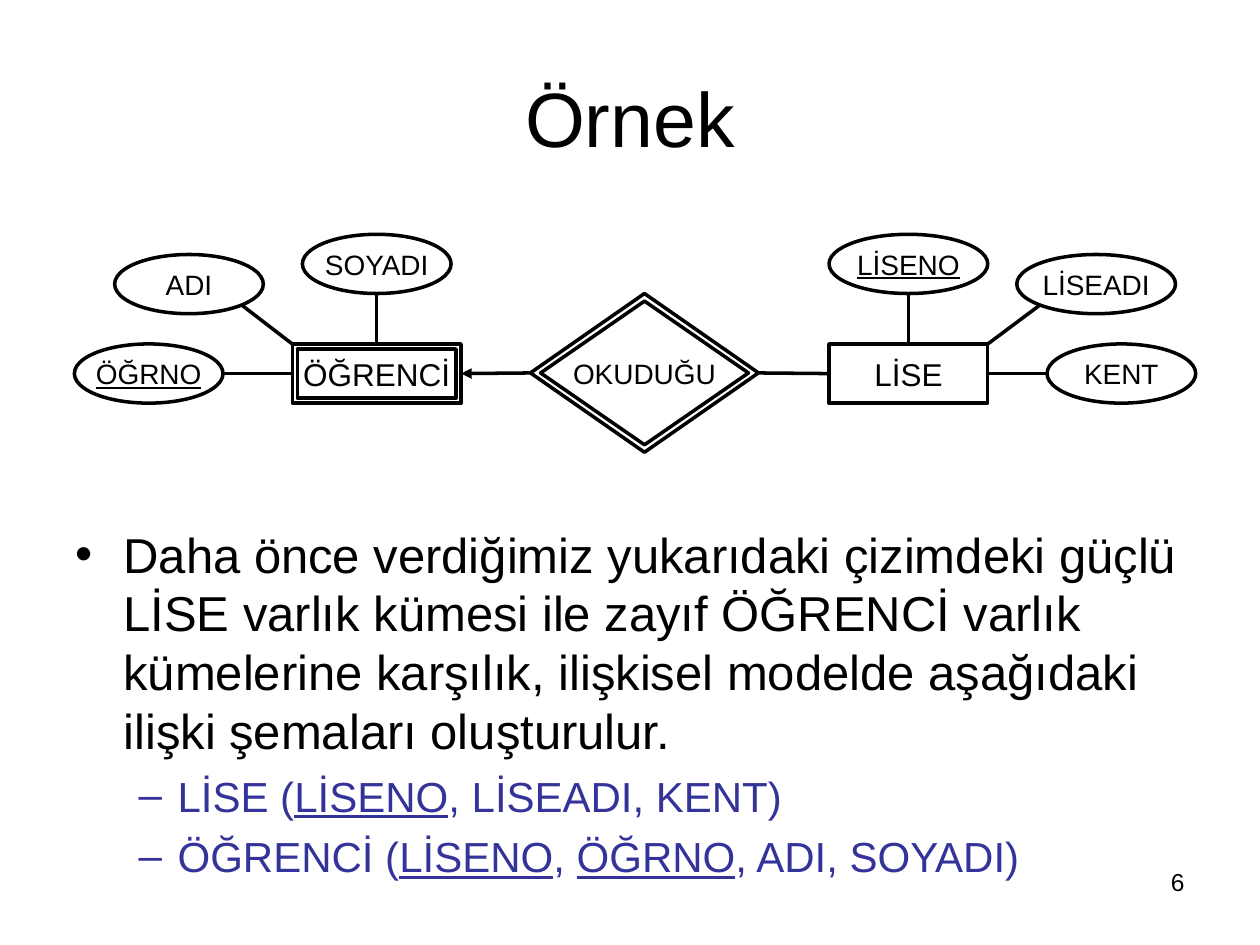
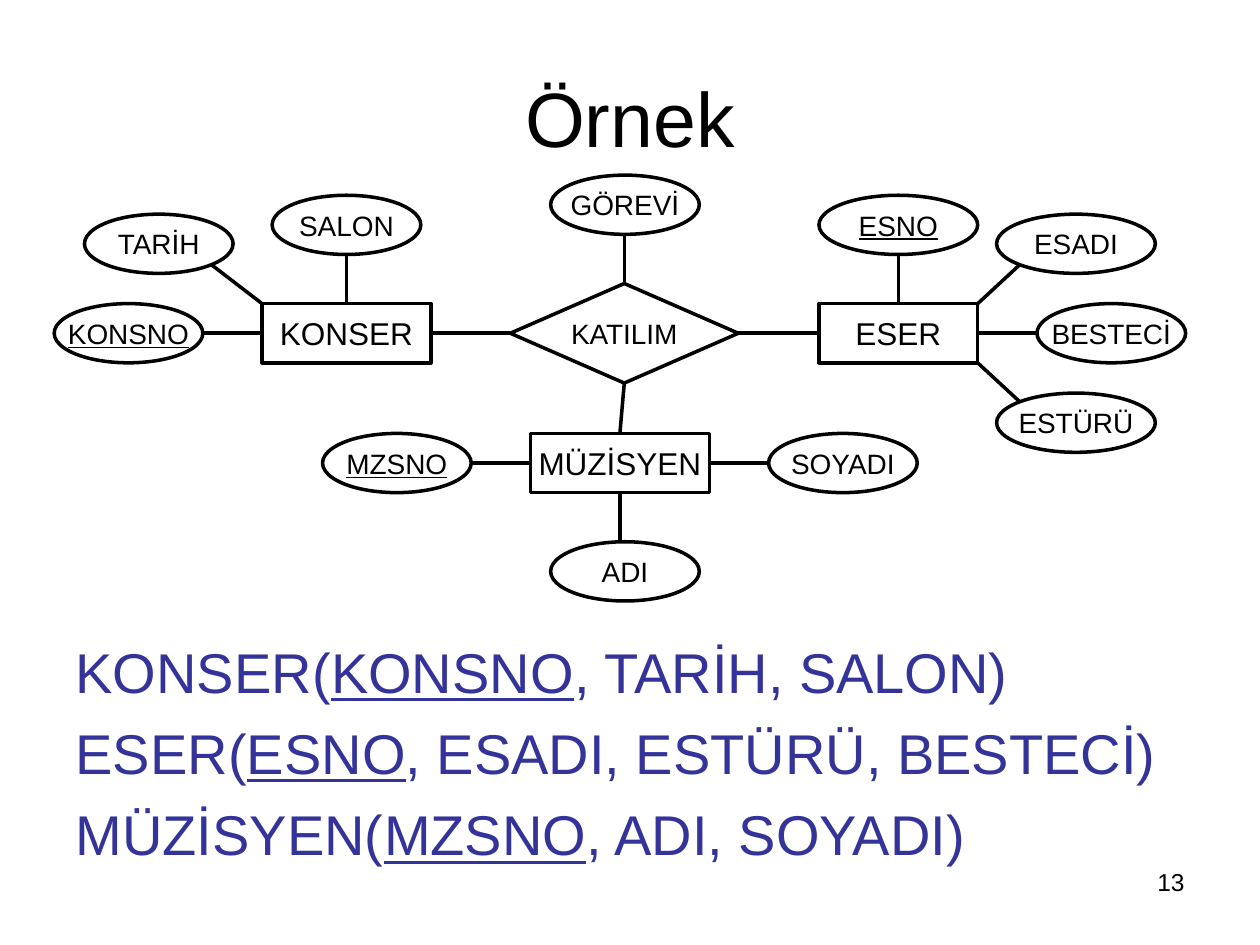
"""Builds two slides of entity-relationship diagrams with their relation schemas."""
from lxml.etree import SubElement
from pptx import Presentation
from pptx.dml.color import RGBColor
from pptx.enum.shapes import MSO_CONNECTOR, MSO_SHAPE
from pptx.enum.text import MSO_ANCHOR, MSO_AUTO_SIZE, PP_ALIGN
from pptx.oxml.ns import qn
from pptx.util import Inches, Pt

BLACK, BLUE = "000000", "333399"
SITES = {(0, -1): 0, (-1, 0): 1, (0, 1): 2, (1, 0): 3}
DIAGONAL = 0.71
NODE_HEIGHT = 0.47


def write(paragraph, text, size, color=BLACK, align=PP_ALIGN.LEFT, level=0,
          bullet=None, margin=0, hanging=0, before=0):
    """Fill a paragraph; parts between underscores are underlined."""
    paragraph.alignment = align
    paragraph.level = level
    paragraph.space_before = Pt(before)
    properties = paragraph._p.get_or_add_pPr()
    properties.set("marL", str(Inches(margin)))
    properties.set("indent", str(Inches(-hanging)))
    if bullet:
        SubElement(properties, qn("a:buChar")).set("char", bullet)
    else:
        SubElement(properties, qn("a:buNone"))
    for index, part in enumerate(text.split("_")):
        if part:
            run = paragraph.add_run()
            run.text = part
            run.font.name = "Arial"
            run.font.size = Pt(size)
            run.font.underline = index % 2 == 1
            run.font.color.rgb = RGBColor.from_string(color)


def outline(item):
    """Give a shape or connector the plain black line of the diagrams."""
    item.line.color.rgb = RGBColor.from_string(BLACK)
    item.line.width = Pt(2)


first_level = {"size": 28, "bullet": "•", "margin": 0.38, "hanging": 0.38, "before": 7}
second_level = {"size": 24, "color": BLUE, "level": 1, "bullet": "–",
                "margin": 0.81, "hanging": 0.31, "before": 6}
schema = {"size": 32, "color": BLUE, "margin": 0.38, "hanging": 0.38, "before": 8}

examples = [
    {
        "number": "6",
        "body": (4.11, 2.94),
        "lines": [
            ("Daha önce verdiğimiz yukarıdaki çizimdeki güçlü LİSE varlık kümesi ile "
             "zayıf ÖĞRENCİ varlık kümelerine karşılık, ilişkisel modelde aşağıdaki "
             "ilişki şemaları oluşturulur.", first_level),
            ("LİSE (_LİSENO_, LİSEADI, KENT)", second_level),
            ("ÖĞRENCİ (_LİSENO_, _ÖĞRNO_, ADI, SOYADI)", second_level),
        ],
        "entities": [("ÖĞRENCİ", 2.32, 2.73, 1.34), ("LİSE", 6.58, 2.73, 1.26)],
        "relation": ("OKUDUĞU", 4.21, 2.33, 1.81, 1.26),
        "inner borders": {"ÖĞRENCİ": (0.04, 0.04), "OKUDUĞU": (0.08, 0.06)},
        "links": [("ÖĞRENCİ", (-1, 0), True), ("LİSE", (1, 0), False)],
        "attributes": [
            ("ADI", 0.91, 2.02, 1.18, "ÖĞRENCİ", (-1, -1)),
            ("SOYADI", 2.4, 1.86, 1.18, "ÖĞRENCİ", (0, -1)),
            ("_ÖĞRNO_", 0.59, 2.73, 1.18, "ÖĞRENCİ", (-1, 0)),
            ("LİSEADI", 8.07, 2.02, 1.26, "LİSE", (1, -1)),
            ("_LİSENO_", 6.58, 1.86, 1.26, "LİSE", (0, -1)),
            ("KENT", 8.31, 2.73, 1.18, "LİSE", (1, 0)),
        ],
    },
    {
        "number": "13",
        "body": (5.01, 2.05),
        "lines": [
            ("KONSER(_KONSNO_, TARİH, SALON)", schema),
            ("ESER(_ESNO_, ESADI, ESTÜRÜ, BESTECİ)", schema),
            ("MÜZİSYEN(_MZSNO_, ADI, SOYADI)", schema),
        ],
        "entities": [("KONSER", 2.08, 2.41, 1.34), ("ESER", 6.5, 2.41, 1.26),
                     ("MÜZİSYEN", 4.21, 3.44, 1.42)],
        "relation": ("KATILIM", 4.05, 2.25, 1.81, 0.79),
        "inner borders": {},
        "links": [("KONSER", (-1, 0), False), ("ESER", (1, 0), False),
                  ("MÜZİSYEN", (0, 1), False)],
        "attributes": [
            ("TARİH", 0.67, 1.7, 1.18, "KONSER", (-1, -1)),
            ("SALON", 2.16, 1.55, 1.18, "KONSER", (0, -1)),
            ("_KONSNO_", 0.43, 2.41, 1.18, "KONSER", (-1, 0)),
            ("GÖREVİ", 4.37, 1.39, 1.18, "KATILIM", (0, -1)),
            ("ESTÜRÜ", 7.91, 3.12, 1.26, "ESER", (1, 1)),
            ("_ESNO_", 6.5, 1.55, 1.26, "ESER", (0, -1)),
            ("BESTECİ", 8.23, 2.41, 1.18, "ESER", (1, 0)),
            ("ESADI", 7.91, 1.7, 1.26, "ESER", (1, -1)),
            ("_MZSNO_", 2.56, 3.44, 1.18, "MÜZİSYEN", (-1, 0)),
            ("SOYADI", 6.1, 3.44, 1.18, "MÜZİSYEN", (1, 0)),
            ("ADI", 4.37, 4.3, 1.18, "MÜZİSYEN", (0, 1)),
        ],
    },
]

presentation = Presentation()
presentation.slide_width, presentation.slide_height = Inches(10), Inches(7.5)

for example in examples:
    slide = presentation.slides.add_slide(presentation.slide_layouts[1])
    title, body = slide.placeholders
    title.left, title.top, title.width, title.height = map(Inches, (0.5, 0.3, 9, 1.25))
    title.text_frame.vertical_anchor = MSO_ANCHOR.MIDDLE
    write(title.text_frame.paragraphs[0], "Örnek", size=44, align=PP_ALIGN.CENTER)

    top, height = example["body"]
    body.left, body.top, body.width, body.height = map(Inches, (0.5, top, 9, height))
    body.text_frame.auto_size = MSO_AUTO_SIZE.NONE
    for index, (text, style) in enumerate(example["lines"]):
        frame = body.text_frame
        write(frame.add_paragraph() if index else frame.paragraphs[0], text, **style)

    nodes = [(MSO_SHAPE.RECTANGLE, 18, *entity, NODE_HEIGHT) for entity in example["entities"]]
    nodes.append((MSO_SHAPE.DIAMOND, 16, *example["relation"]))
    nodes += [(MSO_SHAPE.OVAL, 16, *attribute[:4], NODE_HEIGHT)
              for attribute in example["attributes"]]
    for label, (inset_x, inset_y) in example["inner borders"].items():
        kind, size, _, left, top, width, height = next(n for n in nodes if n[2] == label)
        nodes.append((kind, size, "", left + inset_x, top + inset_y,
                      width - 2 * inset_x, height - 2 * inset_y))

    drawn = {}
    for kind, size, label, left, top, width, height in nodes:
        node = slide.shapes.add_shape(kind, *map(Inches, (left, top, width, height)))
        node.shadow.inherit = False
        node.fill.background()
        outline(node)
        if label:
            node.text_frame.word_wrap = False
            node.text_frame.vertical_anchor = MSO_ANCHOR.MIDDLE
            write(node.text_frame.paragraphs[0], label, size=size, align=PP_ALIGN.CENTER)
            drawn[label] = node

    for label, _, _, _, owner_label, (dx, dy) in example["attributes"]:
        attribute, owner = drawn[label], drawn[owner_label]
        reach = DIAGONAL if dx and dy else 1
        owner_x = owner.left + int(owner.width * (1 + dx) / 2)
        owner_y = owner.top + int(owner.height * (1 + dy) / 2)
        start_x = attribute.left + int(attribute.width * (1 - dx * reach) / 2) if dx else owner_x
        start_y = attribute.top + int(attribute.height * (1 - dy * reach) / 2)
        branch = slide.shapes.add_connector(MSO_CONNECTOR.STRAIGHT, start_x, start_y,
                                            owner_x, owner_y)
        if (dx, dy) in SITES:
            branch.end_connect(owner, SITES[dx, dy])
        outline(branch)
        SubElement(branch._element.spPr, qn("a:effectLst"))

    relation = drawn[example["relation"][0]]
    for entity_label, (dx, dy), arrow in example["links"]:
        link = slide.shapes.add_connector(MSO_CONNECTOR.STRAIGHT, 0, 0, 0, 0)
        link.begin_connect(relation, SITES[dx, dy])
        link.end_connect(drawn[entity_label], SITES[-dx, -dy])
        outline(link)
        if arrow:
            SubElement(link.line._get_or_add_ln(), qn("a:tailEnd")).set("type", "triangle")
        SubElement(link._element.spPr, qn("a:effectLst"))

    page_number = slide.shapes.add_textbox(*map(Inches, (7.17, 6.83, 2.33, 0.52)))
    page_number.text_frame.word_wrap = True
    write(page_number.text_frame.paragraphs[0], example["number"], size=14,
          align=PP_ALIGN.RIGHT)

presentation.save("out.pptx")
